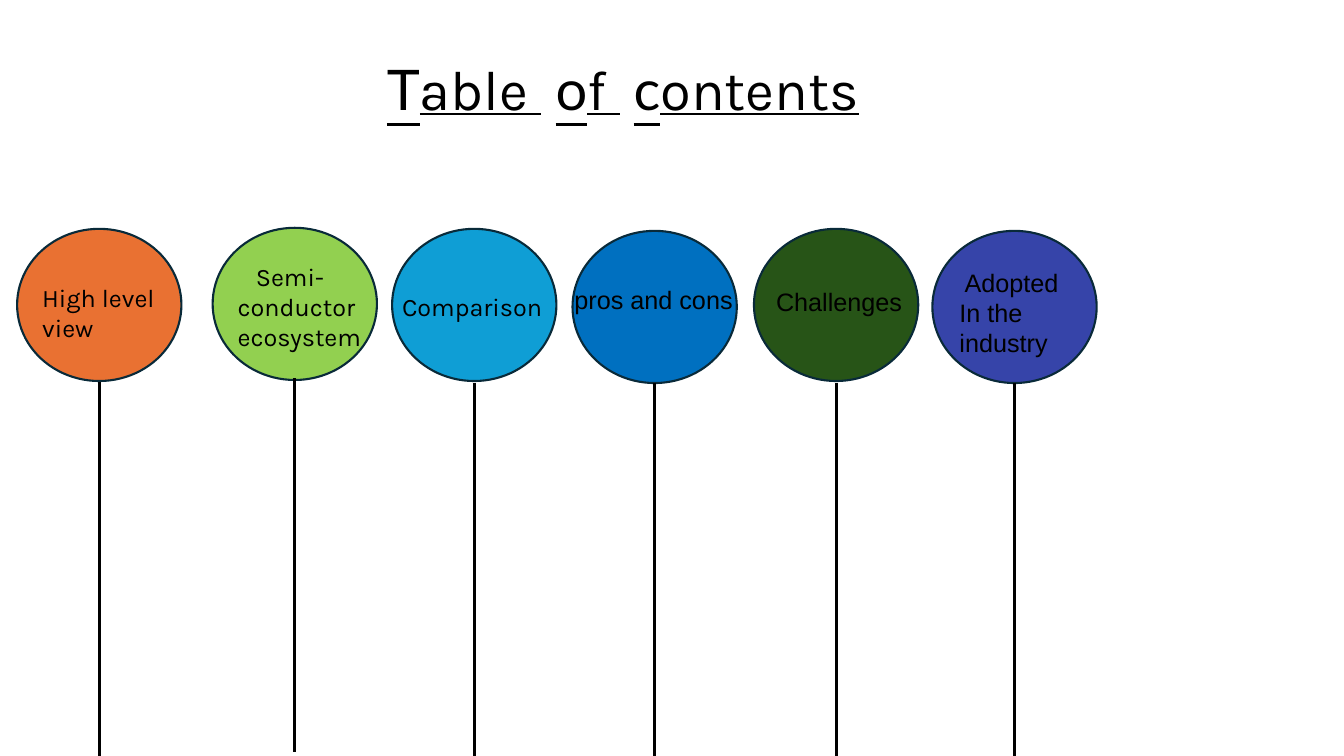
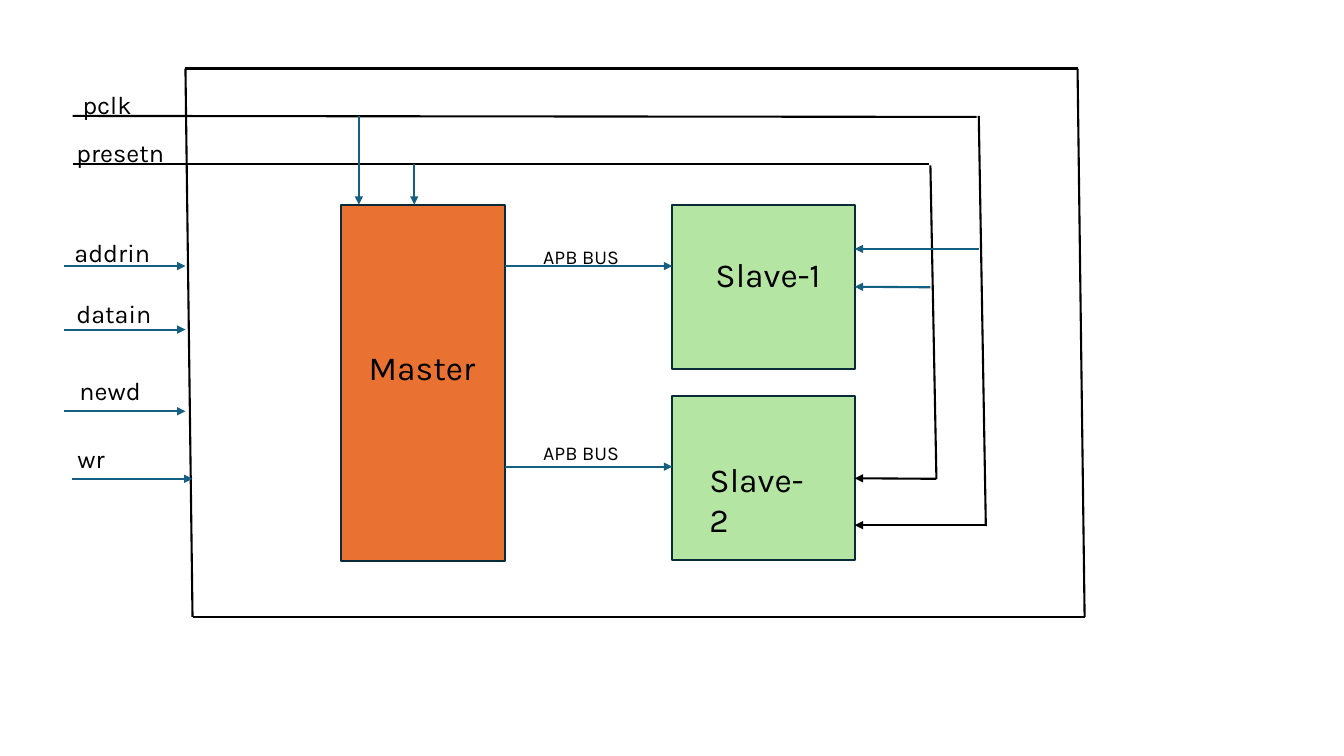
from pptx import Presentation
from pptx.dml.color import RGBColor
from pptx.enum.shapes import MSO_CONNECTOR as CONN, MSO_SHAPE as SHAPE
from pptx.enum.text import MSO_AUTO_SIZE as AUTO
from pptx.oxml.ns import qn
from pptx.util import Emu, Inches, Pt
from lxml import etree

CELL = Inches(0.1)
COLS, ROWS = 133.33, 75
BLACK, OUTLINE, TEAL = "000000", "092A39", "156082"
ORANGE, GREEN = "E97132", "B4E5A2"
KARLA, LATO, ARIAL = "Karla", "Lato", "Arial"

CIRCLE_W, CIRCLE_H = 16.3, 15.1
TOPICS = [
    (1.7, 22.7, ORANGE, 37.9, ROWS, "High level view", KARLA, (3.2, 27.5, 16.3, 7.1), 0),
    (21.1, 22.6, "92D050", 37.5, 74.6, "Semi-conductor ecosystem", KARLA,
     (22.6, 25.4, 19, 10.1), 1.8),
    (38.9, 22.7, "0F9ED5", 38, ROWS, "Comparison", KARLA, (38.9, 28.4, 16.3, 4), 0),
    (56.8, 22.9, "0070C0", 38, ROWS, "pros and cons", ARIAL, (56, 27.7, 17.9, 4), 0),
    (74.8, 22.7, "275417", 38, ROWS, "Challenges", ARIAL, (76, 27.9, 15.1, 4), 0),
    (92.5, 22.9, "3644A9", 38, ROWS, "Adopted In the\vindustry", ARIAL,
     (94.2, 26, 13.1, 10.1), 0.5),
]
TITLE_RUNS = [("T", LATO), ("able", KARLA), (" ", KARLA), ("o", LATO), ("f", KARLA),
              (" ", KARLA), ("c", LATO), ("ontents", KARLA)]

FRAME = [(18.4, 6.8), (106.9, 6.8), (107.6, 61.2), (19.1, 61.2)]
SLAVE_RIGHT = 84.8
CLOCK_WIRES = [
    ((7.2, 11.5), (96.9, 11.6)),
    ((97.1, 11.5), (97.8, 52.2)),
    ((7.2, 16.3), (92.2, 16.3)),
    ((92.3, 16.4), (92.9, 47.5)),
]
CLOCK_TAPS = [
    ((97.8, 52.1), (SLAVE_RIGHT, 52.1), BLACK),
    ((97.1, 24.7), (SLAVE_RIGHT, 24.7), TEAL),
    ((35.6, 11.5), (35.6, 20.3), TEAL),
    ((41.1, 16.3), (41.1, 20.3), TEAL),
]
BUSES = [(26.4, 23.8), (46.3, 43.3)]
INPUT_ARROWS = [(6.4, 26.4), (6.4, 32.7), (6.4, 40.8), (7.1, 47.5)]
INPUT_LABELS = [("pclk", 7.2, 8.4), ("presetn", 6.6, 13.1), ("addrin", 6.4, 23.1),
                ("datain", 6.6, 29.1), ("newd", 6.9, 36.7), ("wr", 6.7, 43.5)]


def cells(*counts):
    """Turn counts of grid cells into lengths."""
    return [Emu(round(n * CELL)) for n in counts]


def rgb(value):
    """Turn a hex string into a colour."""
    return RGBColor.from_string(value)


def add_slide(prs):
    """Add a blank slide."""
    return prs.slides.add_slide(prs.slide_layouts[6])


def add_block(slide, kind, box, fill):
    """Add a filled, outlined preset shape."""
    sp = slide.shapes.add_shape(kind, *cells(*box))
    sp.shadow.inherit = False
    sp.fill.solid()
    sp.fill.fore_color.rgb = rgb(fill)
    sp.line.color.rgb = rgb(OUTLINE)
    sp.line.width = Pt(1.5)
    return sp


def add_line(slide, start, end, colour=BLACK, width=1.5, arrow=False):
    """Add a straight line, with an arrowhead at its end if asked."""
    ln = slide.shapes.add_connector(CONN.STRAIGHT, *cells(*start, *end))
    ln.line.color.rgb = rgb(colour)
    ln.line.width = Pt(width)
    if arrow:
        etree.SubElement(ln.line._get_or_add_ln(), qn("a:tailEnd"), type="triangle")
    etree.SubElement(ln._element.spPr, qn("a:effectLst"))
    return ln


def add_text(slide, box, text, size, font=KARLA, indent=0):
    """Add a wrapping text box and return its paragraph."""
    tf = slide.shapes.add_textbox(*cells(*box)).text_frame
    tf.word_wrap = True
    tf.auto_size = AUTO.SHAPE_TO_FIT_TEXT
    p = tf.paragraphs[0]
    p.text = text
    p.font.size = Pt(size)
    p.font.name = font
    p.font.color.rgb = rgb(BLACK)
    if indent:
        p._p.get_or_add_pPr().set("indent", str(cells(indent)[0]))
    return p


def add_title(slide):
    """Add the underlined title with its initials in a second font."""
    p = add_text(slide, (37.4, 4.9, 53.7, 7.7), "", 40)
    p.font.underline = True
    for text, font in TITLE_RUNS:
        r = p.add_run()
        r.text = text
        r.font.name = font
        if text == " ":
            r._r.get_or_add_rPr().set("spc", "1000")


def build_contents(prs):
    """Build the table of contents: a row of circles on stems."""
    slide = add_slide(prs)
    add_title(slide)
    for left, top, fill, stem_top, stem_end, text, font, box, indent in TOPICS:
        add_block(slide, SHAPE.OVAL, (left, top, CIRCLE_W, CIRCLE_H), fill)
        middle = left + CIRCLE_W / 2
        add_line(slide, (middle, stem_top), (middle, stem_end), width=2)
        add_text(slide, box, text, 18, font, indent)


def build_bus_diagram(prs):
    """Build the block diagram of one master and two slaves."""
    slide = add_slide(prs)
    add_block(slide, SHAPE.RECTANGLE, (33.8, 20.3, 16.3, 35.4), ORANGE)
    slaves = [add_block(slide, SHAPE.RECTANGLE, (66.7, top, 18.1, 16.3), GREEN)
              for top in (20.3, 39.3)]

    for start, end in zip(FRAME, FRAME[1:] + FRAME[:1]):
        add_line(slide, start, end)
    for start, end in CLOCK_WIRES:
        add_line(slide, start, end)
    for start, end, colour in CLOCK_TAPS:
        add_line(slide, start, end, colour, arrow=True)
    resets = [((92.3, 28.5), TEAL), ((92.9, 47.5), BLACK)]
    for slave, (start, colour) in zip(slaves, resets):
        ln = add_line(slide, start, (SLAVE_RIGHT, start[1]), colour, arrow=True)
        ln.end_connect(slave, 3)
    for left, y in INPUT_ARROWS:
        add_line(slide, (left, y), (left + 12, y), TEAL, arrow=True)
    for y, label_top in BUSES:
        add_line(slide, (50.1, y), (66.7, y), TEAL, arrow=True)
        add_text(slide, (52.9, label_top, 11.7, 3.4), "APB BUS", 14)

    for text, left, top in [("Master", 35.6, 33.9), ("Slave-1", 70, 24.7),
                            ("Slave-2", 69.4, 45)]:
        add_text(slide, (left, top, 12.7, 5), text, 24)
    for text, left, top in INPUT_LABELS:
        add_text(slide, (left, top, 11.2, 4), text, 18)


def main():
    """Build and save the presentation."""
    prs = Presentation()
    prs.slide_width, prs.slide_height = cells(COLS, ROWS)
    build_contents(prs)
    build_bus_diagram(prs)
    prs.save("out.pptx")


if __name__ == "__main__":
    main()
